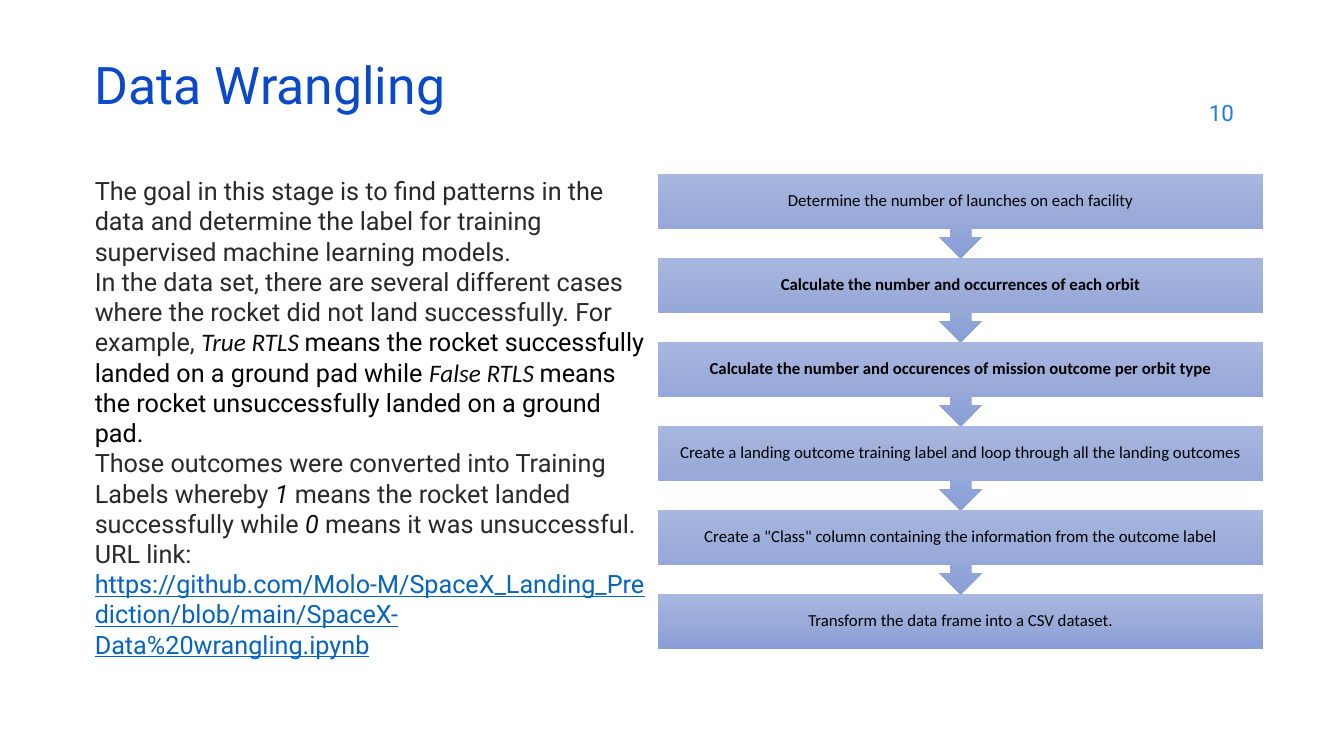
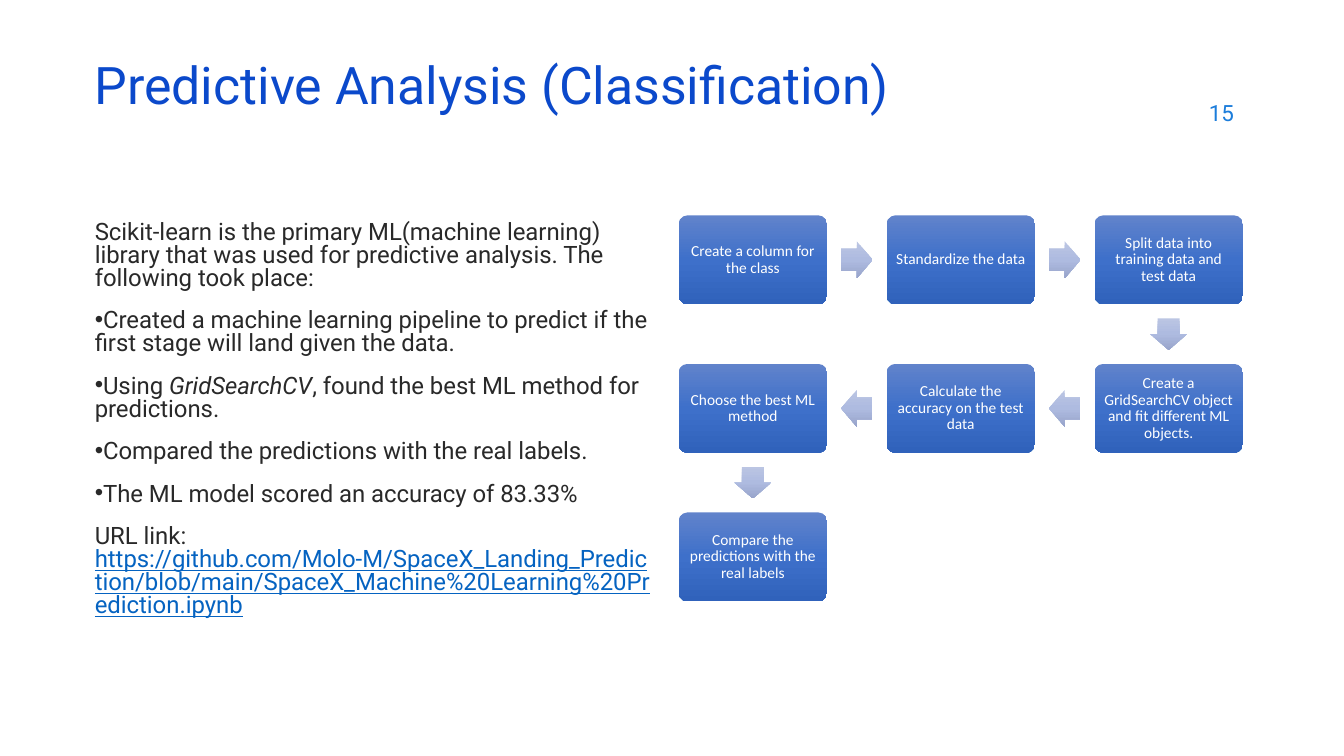
from copy import deepcopy
from dataclasses import dataclass

from lxml import etree
from pptx import Presentation
from pptx.dml.color import RGBColor
from pptx.enum import shapes, text
from pptx.oxml.ns import qn
from pptx.util import Pt


@dataclass(frozen=True)
class Theme:
    head: str = "Roboto"
    label: str = "Calibri"
    blue: str = "0B49CB"
    page: str = "1C7DDB"
    body: str = "292929"
    soft: str = "0D0D0D"
    black: str = "000000"
    white: str = "FFFFFF"
    link: str = "0563C1"
    bar: tuple = ("A8B7DF", "9AABD9", "889ED7")
    card: tuple = ("6183CB", "3E70CA", "3062BB")
    arrow: tuple = ("BBC5E3", "AEBBE0", "98A4CB")
    title: float = 37
    number: float = 16
    step: float = 12
    small: float = 11


T = Theme()
KIND = shapes.MSO_SHAPE
ALIGN = text.PP_ALIGN
MID = text.MSO_ANCHOR.MIDDLE


def write(para, words, color, **form):
    run = para.add_run()
    run.text = words
    for key, value in form.items():
        setattr(run.font, key, value)
    run.font.color.rgb = RGBColor.from_string(color)


def block(slide, kind, box, colors, adjust=()):
    shape = slide.shapes.add_shape(kind, *map(Pt, box))
    shape.shadow.inherit = False
    shape.line.fill.background()
    for i, value in enumerate(adjust):
        shape.adjustments[i] = value
    fill = shape.fill
    fill.gradient()
    fill.gradient_angle = 270
    first = next(shape._element.iter(qn("a:gs")))
    first.addnext(deepcopy(first))
    for i, (stop, color) in enumerate(zip(fill.gradient_stops, colors)):
        stop.position = i / 2
        stop.color.rgb = RGBColor.from_string(color)
    return shape


plain = dict(color=T.body, name=T.head)
dark = dict(color=T.black, name=T.head)
term = dict(color=T.soft, name=T.label, italic=True)
digit = dict(color=T.soft, name=T.head, italic=True)
slant = dict(color=T.body, name=T.head, italic=True)
url = dict(color=T.link, name=T.head, underline=True)

pages = [
    dict(
        title="Data Wrangling", number="10",
        box=(60.5, 121.7, 409.7, 352.8), size=18, lead=1.0, gap=0,
        paras=[
            (False, [("The goal in this stage is to find patterns in the data and determine "
                      "the label for training supervised machine learning models.", plain)]),
            (False, [("In the data set, there are several different cases where the rocket "
                      "did not land successfully. For example, ", plain),
                     ("True RTLS ", term),
                     ("means the rocket successfully landed on a ground pad while ", dark),
                     ("False RTLS ", term),
                     ("means the rocket unsuccessfully landed on a ground pad.", dark)]),
            (False, [("Those outcomes were converted into Training Labels whereby ", plain),
                     ("1 ", digit),
                     ("means the rocket landed successfully while ", plain),
                     ("0 ", digit),
                     ("means it was unsuccessful.", plain)]),
            (False, [("URL link: ", plain),
                     ("https://github.com/Molo-M/SpaceX_Landing_Prediction/blob/main/"
                      "SpaceX-Data%20wrangling.ipynb", url)]),
        ],
    ),
    dict(
        title="Predictive Analysis (Classification)", number="15",
        box=(60.5, 154.8, 414, 342.7), size=17.1, lead=0.8, gap=14,
        paras=[
            (False, [("Scikit-learn is the primary ML(machine learning) library that was used "
                      "for predictive analysis. The following took place:", plain)]),
            (True, [("Created a machine learning pipeline to predict if the first stage will "
                     "land given the data.", plain)]),
            (True, [("Using ", plain), ("GridSearchCV", slant),
                    (", found the best ML method for predictions.", plain)]),
            (True, [("Compared the predictions with the real labels.", plain)]),
            (True, [("The ML model scored an accuracy of 83.33%", plain)]),
            (False, [("URL link: ", plain),
                     ("https://github.com/Molo-M/SpaceX_Landing_Prediction/blob/main/"
                      "SpaceX_Machine%20Learning%20Prediction.ipynb", url)]),
        ],
    ),
]

deck = Presentation()
deck.slide_width, deck.slide_height = Pt(960), Pt(540)
slides = []

for page in pages:
    slide = deck.slides.add_slide(deck.slide_layouts[1])
    slides.append(slide)
    title, body = slide.shapes.title, slide.placeholders[1]
    number = slide.shapes.add_textbox(Pt(672.5), Pt(64.6), Pt(216), Pt(31.7))
    for shape, box in ((title, (60.5, 42.5, 828, 43.2)), (body, page["box"])):
        for key, value in zip(("left", "top", "width", "height"), box):
            setattr(shape, key, Pt(value))

    heads = (
        (title, page["title"], T.blue, T.title, ALIGN.LEFT, 0.8),
        (number, page["number"], T.page, T.number, ALIGN.RIGHT, 1.0),
    )
    for shape, words, color, size, align, lead in heads:
        frame = shape.text_frame
        form = dict(word_wrap=True, auto_size=text.MSO_AUTO_SIZE.NONE, vertical_anchor=MID)
        for key, value in form.items():
            setattr(frame, key, value)
        para = frame.paragraphs[0]
        para.alignment, para.line_spacing = align, lead
        write(para, words, color, name=T.head, size=Pt(size))

    frame = body.text_frame
    frame.auto_size = text.MSO_AUTO_SIZE.NONE
    for i, (dot, runs) in enumerate(page["paras"]):
        para = frame.add_paragraph() if i else frame.paragraphs[0]
        props = para._p.get_or_add_pPr()
        props.set("marL", "0")
        props.set("indent", "0")
        if dot:
            etree.SubElement(props, qn("a:buChar")).set("char", "•")
        else:
            etree.SubElement(props, qn("a:buNone"))
        para.line_spacing = page["lead"]
        para.space_before = Pt(page["gap"] if i else 0)
        for words, form in runs:
            write(para, words, size=Pt(page["size"]), **form)

labels = []
steps = [
    ("Determine the number of launches on each facility", False),
    ("Calculate the number and occurrences of each orbit", True),
    ("Calculate the number and occurences of mission outcome per orbit type", True),
    ("Create a landing outcome training label and loop through all the landing outcomes", False),
    ("Create a \"Class\" column containing the information from the outcome label", False),
    ("Transform the data frame into a CSV dataset.", False),
]
for i, (words, bold) in reversed(list(enumerate(steps))):
    last = i == len(steps) - 1
    kind = KIND.RECTANGLE if last else KIND.DOWN_ARROW_CALLOUT
    box = (470.2, 124 + 60.05 * i, 432, 39.4 if last else 60.5)
    shape = block(slides[0], kind, box, T.bar)
    labels.append((shape, words, 6.5, T.black, T.step, bold))

cards = [
    (0, 0, "Create a column for the class"),
    (1, 0, "Standardize the data"),
    (2, 0, "Split data into training data and test data"),
    (2, 1, "Create a GridSearchCV object and fit different ML objects."),
    (1, 1, "Calculate the accuracy on the test data"),
    (0, 1, "Choose the best ML method"),
    (0, 2, "Compare the predictions with the real labels"),
]
turns = {
    (1, 0): (KIND.RIGHT_ARROW, 22.6, 26.3),
    (-1, 0): (KIND.LEFT_ARROW, 22.6, 26.3),
    (0, 1): (KIND.DOWN_ARROW, 26.3, 22.6),
}
left, top, wide, high, across, down = 484.8, 153.8, 106, 63.6, 148.5, 106.1
for i, (col, row, words) in enumerate(cards):
    x, y = left + across * col, top + down * row
    shape = block(slides[1], KIND.ROUNDED_RECTANGLE, (x, y, wide, high), T.card, (0.1,))
    labels.append((shape, words, 3.6, T.white, T.small, False))
    if i + 1 < len(cards):
        dx, dy = cards[i + 1][0] - col, cards[i + 1][1] - row
        kind, w, h = turns[dx, dy]
        midx = x + (wide + across * dx) / 2
        midy = y + (high + down * dy) / 2
        block(slides[1], kind, (midx - w / 2, midy - h / 2, w, h), T.arrow, (0.6, 0.5))

for shape, words, inset, color, size, bold in labels:
    frame = shape.text_frame
    frame.word_wrap, frame.vertical_anchor = True, MID
    for side in ("left", "top", "right", "bottom"):
        setattr(frame, "margin_" + side, Pt(inset))
    para = frame.paragraphs[0]
    para.alignment, para.line_spacing = ALIGN.CENTER, 0.9
    write(para, words, color, name=T.label, size=Pt(size), bold=bold)

deck.save("out.pptx")
